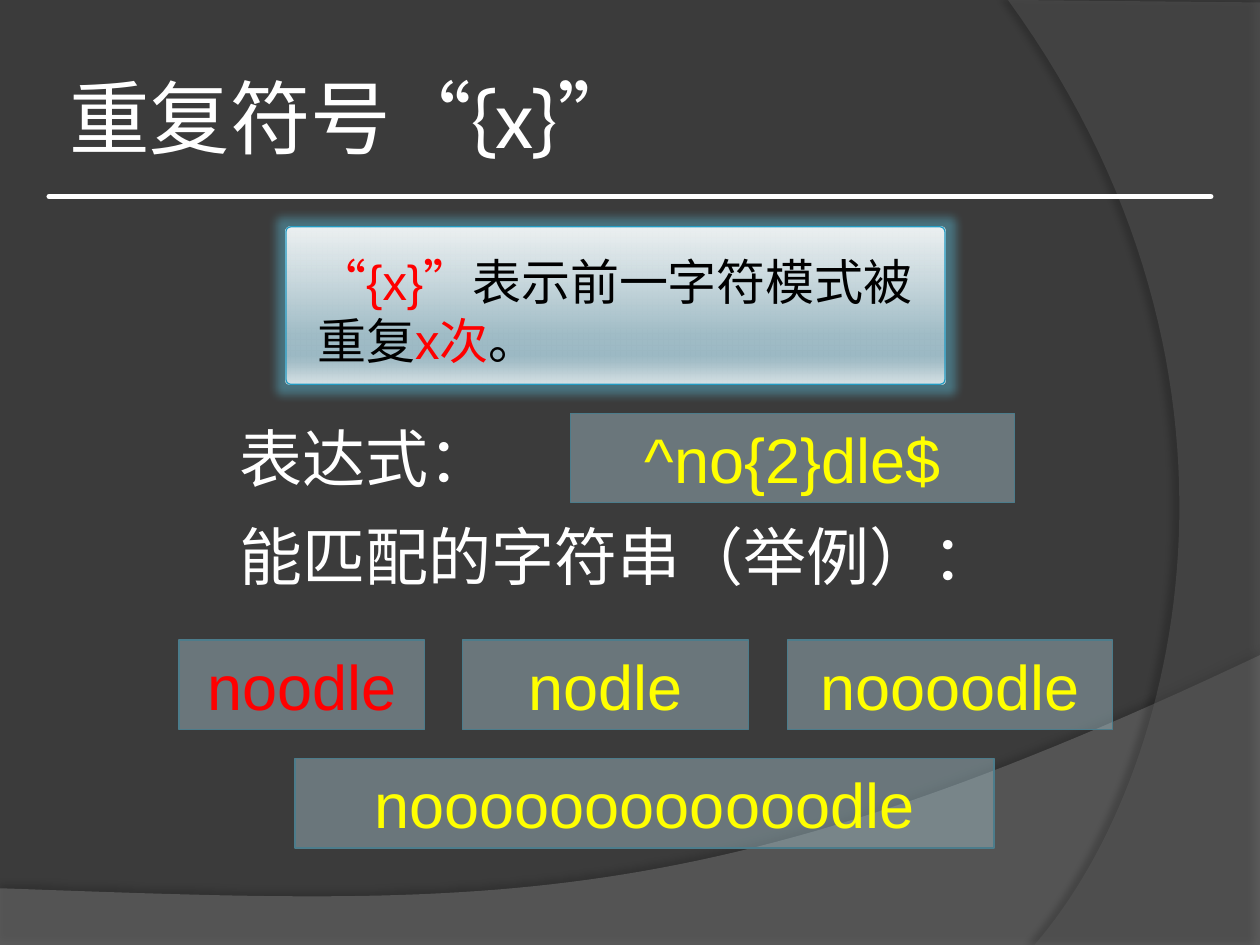
from pptx import Presentation, util as u
from pptx.dml.color import RGBColor
from pptx.enum import shapes, text
from pptx.oxml import parse_xml
from pptx.oxml.ns import nsdecls, qn

WHITE = RGBColor(0xFF, 0xFF, 0xFF)
BLACK = RGBColor(0, 0, 0)
RED = RGBColor(0xFF, 0, 0)
YELLOW = RGBColor(0xFF, 0xFF, 0)
BACKGROUND = RGBColor(0x3B, 0x3B, 0x3B)
LOWER_WAVE = RGBColor(0x7F, 0x7F, 0x7F)
RIGHT_WAVE = RGBColor(0x5E, 0x5E, 0x5E)
BOX_FILL = RGBColor(0xA8, 0xC6, 0xD0)
BOX_LINE = RGBColor(0x4C, 0x7C, 0x8B)
PANEL_LINE = RGBColor(0x23, 0x9B, 0xC2)


def add_xml(parent, tag, content):
    parent.append(parse_xml(f"<a:{tag} {nsdecls('a')} {content}"))


def write(shape, runs, size, font="Arial", alignment=text.PP_ALIGN.LEFT):
    frame = shape.text_frame
    frame.word_wrap = True
    paragraph = frame.paragraphs[0]
    paragraph.alignment = alignment
    for words, color in runs:
        run = paragraph.add_run()
        run.text = words
        run.font.size = u.Pt(size)
        run.font.name = font
        run.font.color.rgb = color


presentation = Presentation()
presentation.slide_width = u.Inches(10)
presentation.slide_height = u.Inches(7.5)
column = presentation.slide_width / 100
row = presentation.slide_height / 75
slide = presentation.slides.add_slide(presentation.slide_layouts[6])
slide.background.fill.solid()
slide.background.fill.fore_color.rgb = BACKGROUND

waves = [
    ([(0, 75), (100, 75)], [(100, 52), (55.9, 72.9), (39.1, 71.9), (0, 70.5)],
     LOWER_WAVE, 45, 35, 3.5, 270),
    ([(100, 0.2), (100, 75)], [(82.1, 75), (93.5, 61.9), (101.8, 30), (80, 0)],
     RIGHT_WAVE, 40, 45, 4, 180),
]
for corners, curve, color, opacity, shade, distance, angle in waves:
    points = list(corners)
    for step in range(61):
        t = step / 60
        weights = ((1 - t) ** 3, 3 * t * (1 - t) ** 2, 3 * t ** 2 * (1 - t), t ** 3)
        points.append(tuple(sum(w * p[axis] for w, p in zip(weights, curve)) for axis in (0, 1)))
    points = [(round(x * column), round(y * row)) for x, y in points]
    builder = slide.shapes.build_freeform(*points[0], scale=1.0)
    builder.add_line_segments(points[1:], close=True)
    wave = builder.convert_to_shape()
    wave.fill.solid()
    wave.fill.fore_color.rgb = color
    wave.line.fill.background()
    wave.shadow.inherit = False
    properties = wave._element.spPr
    add_xml(properties.find(qn("a:solidFill"))[0], "alpha", f'val="{opacity * 1000}"/>')
    add_xml(properties.find(qn("a:effectLst")), "outerShdw",
            f'blurRad="{u.Pt(4)}" dist="{u.Pt(distance)}" dir="{angle * 60000}" rotWithShape="0">'
            f'<a:srgbClr val="000000"><a:alpha val="{shade * 1000}"/></a:srgbClr></a:outerShdw>')

title = slide.shapes.add_textbox(5 * column, 3 * row, 81.7 * column, 12.5 * row)
title.text_frame.vertical_anchor = text.MSO_ANCHOR.MIDDLE
title.text_frame.margin_left = title.text_frame.margin_right = u.Inches(0.05)
write(title, [("重复符号“{x}”", WHITE)], 46, "Cabin")

rule = slide.shapes.add_connector(shapes.MSO_CONNECTOR.STRAIGHT, round(3.9 * column),
                                  round(15.6 * row), round(96.1 * column), round(15.6 * row))
rule.line.color.rgb = WHITE
rule.line.width = u.Pt(3)
rule._element.spPr.find(qn("a:ln")).set("cap", "rnd")
add_xml(rule._element.spPr, "effectLst", "/>")

panel = slide.shapes.add_shape(shapes.MSO_SHAPE.ROUNDED_RECTANGLE, 22.7 * column,
                               18 * row, 52.3 * column, 12.5 * row)
panel.adjustments[0] = 0.03
panel.fill.gradient()
panel.fill.gradient_angle = 270
stops = panel._element.spPr.find(qn("a:gradFill")).find(qn("a:gsLst"))
for stop in list(stops):
    stops.remove(stop)
for position, color, opacity in [(0, "FEFEFE", 90), (68, "A0BCC6", 100), (81, "9CB9C4", 100),
                                 (86, "A7C0C9", 100), (100, "DAE4E7", 100)]:
    add_xml(stops, "gs", f'pos="{position * 1000}"><a:srgbClr val="{color}">'
                         f'<a:alpha val="{opacity * 1000}"/></a:srgbClr></a:gs>')
panel.line.color.rgb = PANEL_LINE
panel.line.width = u.Pt(0.75)
panel.shadow.inherit = False
add_xml(panel._element.spPr.find(qn("a:effectLst")), "glow",
        f'rad="{u.Pt(10)}"><a:srgbClr val="58B6D0"><a:alpha val="45000"/></a:srgbClr></a:glow>')

labels = [
    (24.2, 19.5, 50, 10.4, 28, [("“{x}”", RED), ("表示前一字符模式被重复", BLACK),
                                ("x次", RED), ("。", BLACK)]),
    (18, 32.8, 22.7, 7.1, 36, [("表达式：", WHITE)]),
    (18, 40.6, 60.2, 7.1, 36, [("能匹配的字符串（举例）：", WHITE)]),
]
for left, top, width, height, size, runs in labels:
    label = slide.shapes.add_textbox(left * column, top * row, width * column, height * row)
    write(label, runs, size)

boxes = [
    (45.3, 32.8, 35.2, "^no{2}dle$", YELLOW),
    (36.7, 50.8, 22.7, "nodle", YELLOW),
    (62.5, 50.8, 25.8, "noooodle", YELLOW),
    (14.2, 50.8, 19.5, "noodle", RED),
    (23.4, 60.2, 55.5, "noooooooooooodle", YELLOW),
]
for left, top, width, words, color in boxes:
    box = slide.shapes.add_shape(shapes.MSO_SHAPE.RECTANGLE, left * column, top * row,
                                 width * column, 7.1 * row)
    box.fill.solid()
    box.fill.fore_color.rgb = BOX_FILL
    add_xml(box._element.spPr.find(qn("a:solidFill"))[0], "alpha", 'val="43000"/>')
    box.line.color.rgb = BOX_LINE
    box.line.width = u.Pt(0.75)
    box.shadow.inherit = False
    write(box, [(words, color)], 36, alignment=text.PP_ALIGN.CENTER)

presentation.save("out.pptx")
